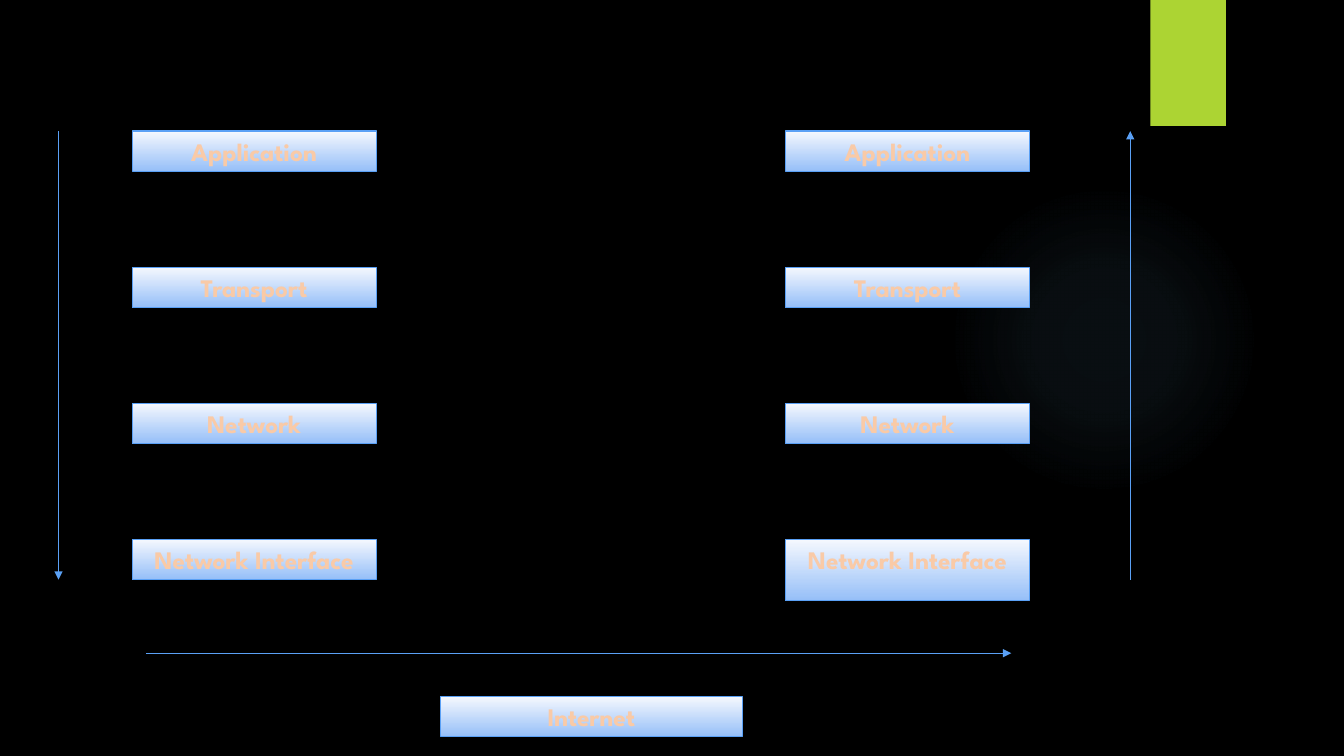
from lxml import etree
from pptx import Presentation
from pptx.dml.color import RGBColor
from pptx.enum import shapes, text
from pptx.oxml import parse_xml
from pptx.oxml.ns import nsdecls, qn
from pptx.util import Inches, Pt

LAYERS = ["Application", "Transport", "Network", "Network Interface"]
MEDIUM = "Internet"
FONT = "League Spartan"

BLACK = RGBColor(0x00, 0x00, 0x00)
GREEN = RGBColor(0xAC, 0xD4, 0x33)
GLOW = RGBColor(0x7A, 0xC4, 0xF0)
PALE = RGBColor(0xF5, 0xF8, 0xFE)
SKY = RGBColor(0x96, 0xBF, 0xF8)
BLUE = RGBColor(0x5A, 0xA0, 0xF5)
PEACH = RGBColor(0xF9, 0xCA, 0xA7)

# Inches
SENDER, RECEIVER = 1.31, 7.79
TOP, STEP = 1.3, 1.35
WIDTH, HEIGHT, TALL = 2.42, 0.4, 0.61
LAST = len(LAYERS) - 1
END = TOP + LAST * STEP + HEIGHT
ARROWS = [
    (0.58, TOP, 0.58, END),
    (1.45, 6.48, 10.03, 6.48),
    (11.21, END, 11.21, TOP),
]
GLOW_STOPS = [(0, 7), (36, 6), (69, 0)]  # position, opacity in percent


def add_plain(slide, kind, *box):
    shape = slide.shapes.add_shape(kind, *map(Inches, box))
    shape.shadow.inherit = False
    shape.line.fill.background()
    return shape


def add_glow(slide):
    glow = add_plain(slide, shapes.MSO_SHAPE.OVAL, 9.41, 1.83, 3.08, 3.08)
    glow.fill.gradient()
    stops = "".join(
        f'<a:gs pos="{pos * 1000}"><a:srgbClr val="{GLOW}">'
        f'<a:alpha val="{alpha * 1000}"/></a:srgbClr></a:gs>'
        for pos, alpha in GLOW_STOPS)
    radial = parse_xml(
        f'<a:gradFill {nsdecls("a")}><a:gsLst>{stops}</a:gsLst>'
        '<a:path path="circle"><a:fillToRect l="50000" t="50000" '
        'r="50000" b="50000"/></a:path></a:gradFill>')
    props = glow.element.spPr
    props.replace(props.find(qn("a:gradFill")), radial)


def add_box(slide, label, *box):
    shape = add_plain(slide, shapes.MSO_SHAPE.RECTANGLE, *box)
    shape.fill.gradient()
    shape.fill.gradient_angle = 270
    for stop, color in zip(shape.fill.gradient_stops, (PALE, SKY)):
        stop.color.rgb = color
    shape.line.color.rgb = BLUE
    shape.line.width = Pt(0.75)
    frame = shape.text_frame
    frame.word_wrap = True
    frame.auto_size = text.MSO_AUTO_SIZE.SHAPE_TO_FIT_TEXT
    frame.vertical_anchor = text.MSO_ANCHOR.TOP
    para = frame.paragraphs[0]
    para.text = label
    para.alignment = text.PP_ALIGN.CENTER
    para.font.name = FONT
    para.font.size = Pt(18)
    para.font.bold = True
    para.font.color.rgb = PEACH


def add_arrow(slide, *ends):
    arrow = slide.shapes.add_connector(
        shapes.MSO_CONNECTOR.STRAIGHT, *map(Inches, ends))
    arrow.line.color.rgb = BLUE
    arrow.line.width = Pt(0.75)
    props = arrow.element.spPr
    etree.SubElement(props.find(qn("a:ln")), qn("a:tailEnd"), type="triangle")
    etree.SubElement(props, qn("a:effectLst"))


def main():
    deck = Presentation()
    deck.slide_width, deck.slide_height = Inches(13.33), Inches(7.5)
    slide = deck.slides.add_slide(deck.slide_layouts[6])
    back = slide.background.fill
    back.solid()
    back.fore_color.rgb = BLACK

    add_glow(slide)
    tab = add_plain(slide, shapes.MSO_SHAPE.RECTANGLE, 11.41, 0, 0.75, 1.25)
    tab.fill.solid()
    tab.fill.fore_color.rgb = GREEN

    for left in (SENDER, RECEIVER):
        for row, label in enumerate(LAYERS):
            tall = left == RECEIVER and row == LAST
            add_box(slide, label, left, TOP + row * STEP, WIDTH,
                    TALL if tall else HEIGHT)
    for ends in ARROWS:
        add_arrow(slide, *ends)
    add_box(slide, MEDIUM, 4.37, 6.91, 2.99, HEIGHT)
    deck.save("out.pptx")


if __name__ == "__main__":
    main()
